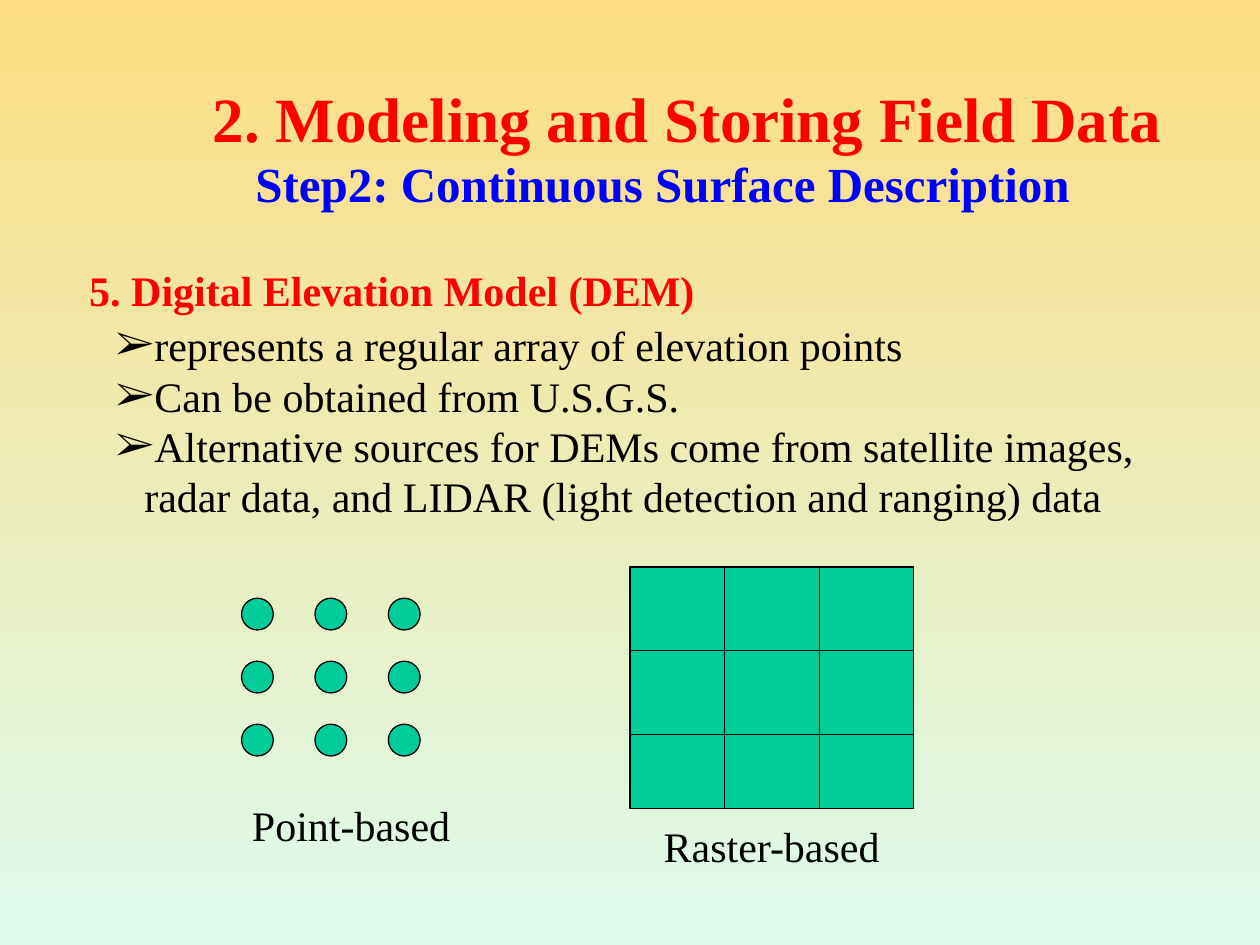
from dataclasses import dataclass

from lxml import etree
from pptx import Presentation
from pptx.dml.color import RGBColor
from pptx.enum.shapes import MSO_CONNECTOR, MSO_SHAPE
from pptx.enum.text import MSO_AUTO_SIZE
from pptx.oxml.ns import qn
from pptx.util import Cm, Pt

OVAL, RECTANGLE = MSO_SHAPE.OVAL, MSO_SHAPE.RECTANGLE
STRAIGHT = MSO_CONNECTOR.STRAIGHT
GROW = MSO_AUTO_SIZE.SHAPE_TO_FIT_TEXT


@dataclass(frozen=True)
class Theme:
    font: str = "Times New Roman"
    red: str = "FF0000"
    blue: str = "0000FF"
    black: str = "000000"
    green: str = "00CC99"
    sky_top: str = "FDDD81"
    sky_bottom: str = "DDFAED"
    title_size: int = 36
    subtitle_size: int = 28
    body_size: int = 24
    outline: float = 0.75


THEME = Theme()


@dataclass(frozen=True)
class Box:
    """Position and size in centimetres."""
    left: float
    top: float
    width: float
    height: float

    def lengths(self) -> tuple:
        return Cm(self.left), Cm(self.top), Cm(self.width), Cm(self.height)


@dataclass(frozen=True)
class Label:
    box: Box
    lines: tuple
    size: int = THEME.body_size
    color: str = THEME.black
    bold: bool = False
    bulleted: bool = False


LABELS = (
    Label(Box(4.04, 1.47, 19.63, 1.78), ("2. Modeling and Storing Field Data",),
          THEME.title_size, THEME.red, bold=True),
    Label(Box(4.9, 2.97, 16.92, 1.45), ("Step2: Continuous Surface Description",),
          THEME.subtitle_size, THEME.blue, bold=True),
    Label(Box(1.55, 5.21, 12.9, 1.27), ("5. Digital Elevation Model (DEM)",),
          color=THEME.red, bold=True),
    Label(Box(2.08, 6.32, 21.84, 5.33), (
        "represents a regular array of elevation points",
        "Can be obtained from U.S.G.S.",
        "Alternative sources for DEMs come from satellite images, "
        "radar data, and LIDAR (light detection and ranging) data",
    ), bulleted=True),
    Label(Box(4.83, 16, 4.5, 1.27), ("Point-based",)),
    Label(Box(13.13, 16.41, 4.88, 1.27), ("Raster-based",)),
)

GRID_COUNT = 3
FIRST_POINT = Box(4.87, 12.06, 0.64, 0.64)
POINT_STEP_X, POINT_STEP_Y = 1.48, 1.27
RASTER = Box(12.7, 11.43, 5.72, 4.87)
ROW_HEIGHT = 1.69
BULLET_INDENT = 0.58


def rgb(value: str) -> RGBColor:
    return RGBColor.from_string(value)


def paint_background(slide) -> None:
    fill = slide.background.fill
    fill.gradient()
    fill.gradient_angle = 270
    for stop, color, position in zip(
            fill.gradient_stops, (THEME.sky_top, THEME.sky_bottom), (0, 1)):
        stop.color.rgb = rgb(color)
        stop.position = position


def add_bullet(paragraph) -> None:
    properties = paragraph._p.get_or_add_pPr()
    properties.set("marL", str(Cm(BULLET_INDENT)))
    properties.set("indent", str(-Cm(BULLET_INDENT)))
    color = etree.SubElement(properties, qn("a:buClr"))
    etree.SubElement(color, qn("a:srgbClr"), val=THEME.black)
    etree.SubElement(properties, qn("a:buFont"), typeface=THEME.font)
    etree.SubElement(properties, qn("a:buChar"), char="➢")


def add_label(slide, label: Label) -> None:
    frame = slide.shapes.add_textbox(*label.box.lengths()).text_frame
    frame.word_wrap = label.bulleted
    frame.auto_size = GROW
    frame.text = "\n".join(label.lines)
    font_format = {"name": THEME.font, "size": Pt(label.size), "bold": label.bold}
    for paragraph in frame.paragraphs:
        if label.bulleted:
            add_bullet(paragraph)
        font = paragraph.runs[0].font
        for attribute, value in font_format.items():
            setattr(font, attribute, value)
        font.color.rgb = rgb(label.color)


def outline(item) -> None:
    item.line.color.rgb = rgb(THEME.black)
    item.line.width = Pt(THEME.outline)


def add_green_shape(slide, kind, box: Box) -> None:
    shape = slide.shapes.add_shape(kind, *box.lengths())
    shape.shadow.inherit = False
    shape.fill.solid()
    shape.fill.fore_color.rgb = rgb(THEME.green)
    outline(shape)


def add_grid_line(slide, x1: float, y1: float, x2: float, y2: float) -> None:
    line = slide.shapes.add_connector(STRAIGHT, Cm(x1), Cm(y1), Cm(x2), Cm(y2))
    outline(line)
    etree.SubElement(line._element.spPr, qn("a:effectLst"))


def add_points(slide) -> None:
    for row in range(GRID_COUNT):
        for column in range(GRID_COUNT):
            add_green_shape(slide, OVAL, Box(
                FIRST_POINT.left + column * POINT_STEP_X,
                FIRST_POINT.top + row * POINT_STEP_Y,
                FIRST_POINT.width, FIRST_POINT.height))


def add_raster(slide) -> None:
    add_green_shape(slide, RECTANGLE, RASTER)
    right, bottom = RASTER.left + RASTER.width, RASTER.top + RASTER.height
    for index in range(1, GRID_COUNT):
        y = RASTER.top + index * ROW_HEIGHT
        add_grid_line(slide, RASTER.left, y, right, y)
    for index in range(1, GRID_COUNT):
        x = RASTER.left + index * RASTER.width / GRID_COUNT
        add_grid_line(slide, x, RASTER.top, x, bottom)


def main() -> None:
    presentation = Presentation()
    presentation.slide_width, presentation.slide_height = Cm(25.4), Cm(19.05)
    slide = presentation.slides.add_slide(presentation.slide_layouts[6])
    paint_background(slide)

    # Point and raster models
    add_points(slide)
    add_raster(slide)

    # Headings, bullets and captions
    for label in LABELS:
        add_label(slide, label)
    presentation.save("out.pptx")


if __name__ == "__main__":
    main()
